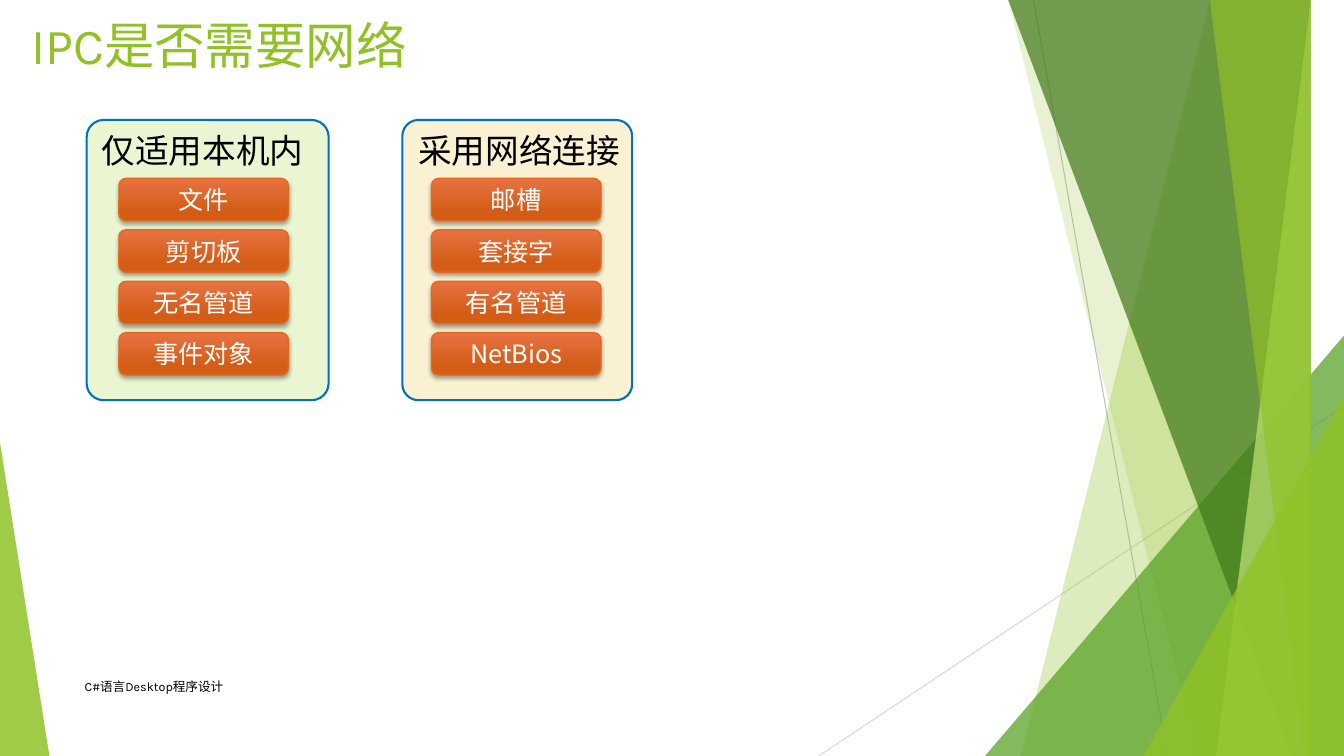
from lxml import etree
from pptx import Presentation
from pptx import util as u
from pptx.dml.color import RGBColor
from pptx.enum import shapes, text
from pptx.oxml.ns import qn

COLORS = {
    "lime": "90C226", "green": "54A021", "forest": "3F7819", "pale": "C0E474",
    "near_line": "BFBFBF", "far_line": "D9D9D9", "blue": "0070C0",
    "mint": "EAF6D1", "cream": "FAF1D2", "orange_top": "E87242",
    "orange_base": "D35D16", "orange_edge": "E76618",
    "black": "000000", "white": "FFFFFF",
}
LATIN, CJK = "Karla", "Noto Sans CJK SC"
WIDTH, HEIGHT = 13.33, 7.5
ITEM_TOP, ITEM_PITCH, ITEM_SIZE = 1.77, 0.51, (1.68, 0.42)


def rgb(name):
    """Return the named palette colour."""
    return RGBColor.from_string(COLORS[name])


def box(*lengths):
    """Convert inch values to lengths."""
    return [u.Inches(value) for value in lengths]


class SlideBuilder:
    """Hold the slide and draw its elements in one style."""

    def __init__(self, slide):
        """Start drawing on the given slide."""
        self.slide = slide
        self.shapes = slide.shapes

    def set_words(self, frame, words, size, color, font=CJK, align=text.PP_ALIGN.LEFT,
                  anchor=text.MSO_ANCHOR.TOP, wrap=True):
        """Put one formatted run into a text frame."""
        frame.auto_size = text.MSO_AUTO_SIZE.NONE
        frame.word_wrap = wrap
        frame.vertical_anchor = anchor
        paragraph = frame.paragraphs[0]
        paragraph.alignment = align
        run = paragraph.add_run()
        run.text = words
        run.font.name = font
        run.font.size = u.Pt(size)
        run.font.color.rgb = rgb(color)
        etree.SubElement(run.font._element, qn("a:ea"), typeface=CJK)

    def title(self, words, place):
        """Place and format the title placeholder."""
        title = self.shapes.title
        title.left, title.top, title.width, title.height = box(*place)
        self.set_words(title.text_frame, words, 36, "lime", LATIN)

    def label(self, words, place, size, **style):
        """Add a text box."""
        frame = self.shapes.add_textbox(*box(*place)).text_frame
        self.set_words(frame, words, size, "black", **style)

    def line(self, start, end, color):
        """Add a thin decorative line."""
        line = self.shapes.add_connector(
            shapes.MSO_CONNECTOR.STRAIGHT, *box(*start, *end))
        line.line.color.rgb = rgb(color)
        line.line.width = u.Pt(0.75)
        etree.SubElement(line._element.spPr, qn("a:effectLst"))

    def tint(self, shape, color, alpha):
        """Give a shape a translucent fill without outline."""
        shape.shadow.inherit = False
        shape.fill.solid()
        shape.fill.fore_color.rgb = rgb(color)
        shade = shape._element.spPr.find(qn("a:solidFill"))[0]
        etree.SubElement(shade, qn("a:alpha"), val=str(alpha * 1000))
        shape.line.fill.background()

    def shard(self, top_left, bottom_left, color, alpha):
        """Add a translucent shard reaching the right slide edge."""
        builder = self.shapes.build_freeform(top_left, 0, scale=u.Inches(1))
        builder.add_line_segments(
            [(WIDTH, 0), (WIDTH, HEIGHT), (bottom_left, HEIGHT)], close=True)
        self.tint(builder.convert_to_shape(), color, alpha)

    def wedge(self, left, top, width, apex, color, alpha):
        """Add a translucent triangle standing on the slide bottom."""
        wedge = self.shapes.add_shape(
            shapes.MSO_SHAPE.ISOSCELES_TRIANGLE,
            *box(left, top, width, HEIGHT - top))
        wedge.adjustments[0] = apex
        self.tint(wedge, color, alpha)

    def panel(self, place, color):
        """Add a rounded panel with a blue outline."""
        panel = self.shapes.add_shape(shapes.MSO_SHAPE.ROUNDED_RECTANGLE, *box(*place))
        panel.adjustments[0] = 0.07
        panel.shadow.inherit = False
        panel.fill.solid()
        panel.fill.fore_color.rgb = rgb(color)
        panel.line.color.rgb = rgb("blue")
        panel.line.width = u.Pt(1.5)

    def item(self, words, left, top):
        """Add an orange button with a soft shadow."""
        item = self.shapes.add_shape(
            shapes.MSO_SHAPE.ROUNDED_RECTANGLE, *box(left, top, *ITEM_SIZE))
        item.fill.gradient()
        item.fill.gradient_angle = 270
        stops = zip(item.fill.gradient_stops, (0, 0.78), ("orange_top", "orange_base"))
        for stop, position, color in stops:
            stop.position = position
            stop.color.rgb = rgb(color)
        item.line.color.rgb = rgb("orange_edge")
        item.line.width = u.Pt(1)
        item.shadow.inherit = False
        effects = item._element.spPr.find(qn("a:effectLst"))
        shadow = etree.SubElement(
            effects, qn("a:outerShdw"), blurRad=str(u.Pt(3)), dist=str(u.Pt(2)),
            dir="5400000", rotWithShape="0")
        shade = etree.SubElement(shadow, qn("a:srgbClr"), val=COLORS["black"])
        etree.SubElement(shade, qn("a:alpha"), val="35000")
        self.set_words(item.text_frame, words, 18, "white",
                       align=text.PP_ALIGN.CENTER, anchor=text.MSO_ANCHOR.MIDDLE)

    def group(self, heading, heading_left, left, width, color, item_left, items):
        """Add a panel with its heading and evenly spaced items."""
        self.panel((left, 1.19, width, 2.78), color)
        self.label(heading, (heading_left, 1.24, 2.22, 0.5), 24, wrap=False)
        for row, words in enumerate(items):
            self.item(words, item_left, ITEM_TOP + row * ITEM_PITCH)


def main():
    """Build and save the slide."""
    deck = Presentation()
    deck.slide_width, deck.slide_height = box(WIDTH, HEIGHT)
    page = SlideBuilder(deck.slides.add_slide(deck.slide_layouts[5]))

    page.line((10.25, 0), (11.58, HEIGHT), "near_line")
    page.line((WIDTH, 4.03), (8.12, HEIGHT), "far_line")
    page.shard(12.28, 10.04, "lime", 30)
    page.shard(10.5, 11.83, "lime", 20)
    page.wedge(9.77, 3.33, 3.56, 1, "green", 72)
    page.shard(10.21, 12.91, "forest", 70)
    page.shard(13.03, 11.92, "pale", 70)
    page.shard(11.96, 13.18, "lime", 65)
    page.wedge(11.34, 3.93, 1.99, 1, "lime", 80)
    page.wedge(0, 4.39, 0.49, 0, "lime", 85)

    page.title("IPC是否需要网络", (0.21, 0.09, 4.07, 0.87))
    page.group("仅适用本机内", 0.91, 0.86, 2.4, "mint", 1.18,
               ["文件", "剪切板", "无名管道", "事件对象"])
    page.group("采用网络连接", 4.05, 3.99, 2.28, "cream", 4.28,
               ["邮槽", "套接字", "有名管道", "NetBios"])
    page.label("C#语言Desktop程序设计", (0.74, 6.61, 6.89, 0.4), 9,
               font=LATIN, anchor=text.MSO_ANCHOR.MIDDLE)
    deck.save("out.pptx")


if __name__ == "__main__":
    main()
